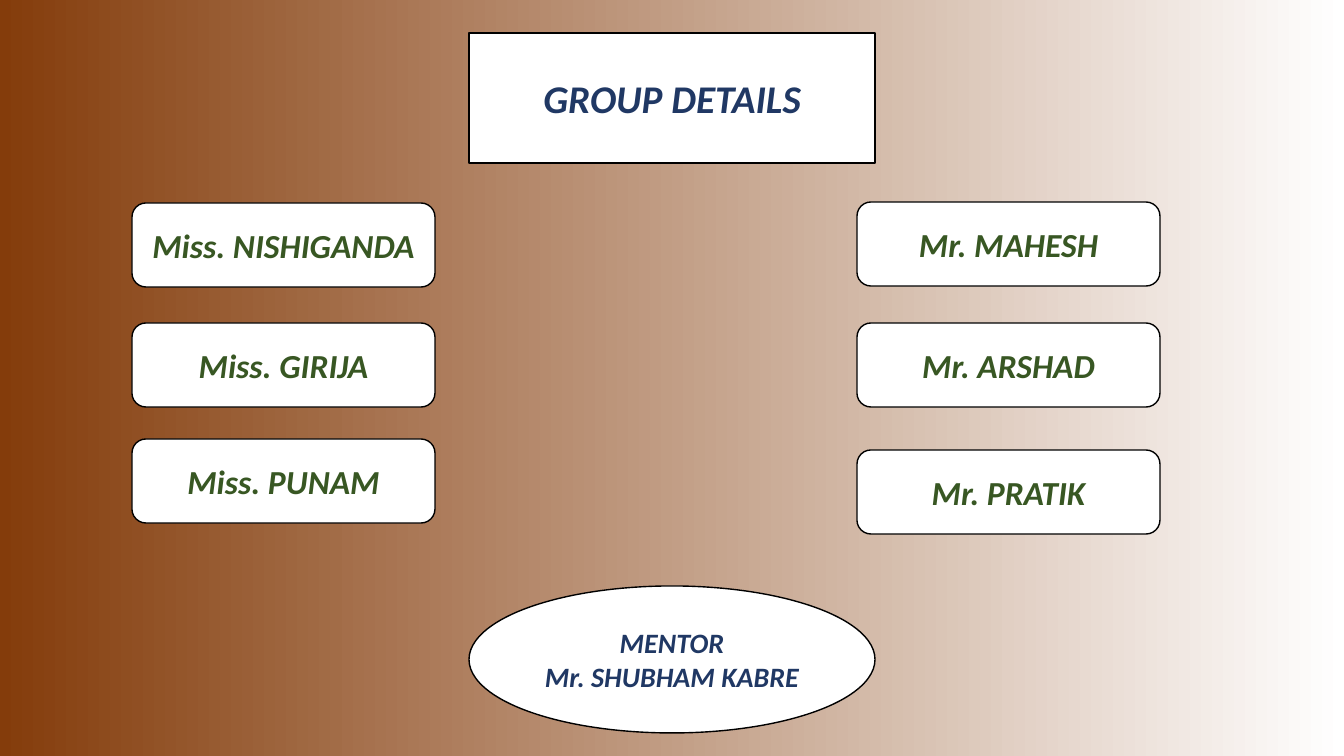
from lxml import etree
from pptx import Presentation
from pptx.dml.color import RGBColor
from pptx.enum.shapes import MSO_SHAPE
from pptx.enum.text import MSO_ANCHOR, MSO_AUTO_SIZE, PP_ALIGN
from pptx.oxml.ns import qn
from pptx.util import Pt

PX = 914400 / 100.8
OVAL = MSO_SHAPE.OVAL
ROUND = MSO_SHAPE.ROUNDED_RECTANGLE
MIDDLE = MSO_ANCHOR.MIDDLE
FIXED = MSO_AUTO_SIZE.NONE
CENTER = PP_ALIGN.CENTER

WHITE, BLACK, BROWN = "FFFFFF", "000000", "843C0B"
NAVY, GREEN = "203864", "385723"
CARD_W, CARD_H = 303, 84
TEAMS = [
    (132, [("Miss. NISHIGANDA", 203), ("Miss. GIRIJA", 323), ("Miss. PUNAM", 439)]),
    (857, [("Mr. MAHESH", 202), ("Mr. ARSHAD", 323), ("Mr. PRATIK", 450)]),
]


def px(n):
    """Turn pixels into EMU."""
    return round(n * PX)


def color(code):
    """Turn a hex string into a colour."""
    return RGBColor.from_string(code)


def assign(item, values):
    """Set each attribute of an item from a dict."""
    for name, value in values.items():
        setattr(item, name, value)


def style(shape, lines, size, ink):
    """Give a shape its white fill, black outline and centred text."""
    shape.fill.solid()
    shape.fill.fore_color.rgb = color(WHITE)
    shape.line.color.rgb = color(BLACK)
    shape.line.width = Pt(1)
    frame = shape.text_frame
    assign(frame, {"word_wrap": True, "auto_size": FIXED, "vertical_anchor": MIDDLE})
    frame.text = "\n".join(lines)
    for para in frame.paragraphs:
        para.alignment = CENTER
        for run in para.runs:
            assign(run.font, {"name": "Calibri", "size": Pt(size), "bold": True, "italic": True})
            run.font.color.rgb = color(ink)


def badge(slide, kind, box, lines, size, ink):
    """Add one labelled shape in the given box."""
    shape = slide.shapes.add_shape(kind, *map(px, box))
    shape.shadow.inherit = False
    style(shape, lines, size, ink)


def heading(slide, box, text):
    """Make the title placeholder an oval in the given box."""
    title = slide.shapes.title
    assign(title, dict(zip(("left", "top", "width", "height"), map(px, box))))
    geom = etree.SubElement(title.element.spPr, qn("a:prstGeom"), prst="ellipse")
    etree.SubElement(geom, qn("a:avLst"))
    style(title, [text], 28, NAVY)


def column(slide, left, team):
    """Stack the name cards of one team at the given left edge."""
    for name, top in team:
        badge(slide, ROUND, (left, top, CARD_W, CARD_H), [name], 24, GREEN)


def backdrop(slide):
    """Fill the background with a gradient from left to right."""
    fill = slide.background.fill
    fill.gradient()
    fill.gradient_angle = 0
    for stop, code, place in zip(fill.gradient_stops, (BROWN, WHITE), (0, 1)):
        stop.color.rgb = color(code)
        stop.position = place


def main():
    """Build the group slide and save it."""
    deck = Presentation()
    assign(deck, {"slide_width": px(1344), "slide_height": px(756)})
    slide = deck.slides.add_slide(deck.slide_layouts[5])
    backdrop(slide)
    heading(slide, (469, 33, 406, 130), "GROUP DETAILS")
    for left, team in TEAMS:
        column(slide, left, team)
    badge(slide, OVAL, (469, 586, 406, 147), ["MENTOR", "Mr. SHUBHAM KABRE"], 20, NAVY)
    deck.save("out.pptx")


if __name__ == "__main__":
    main()
